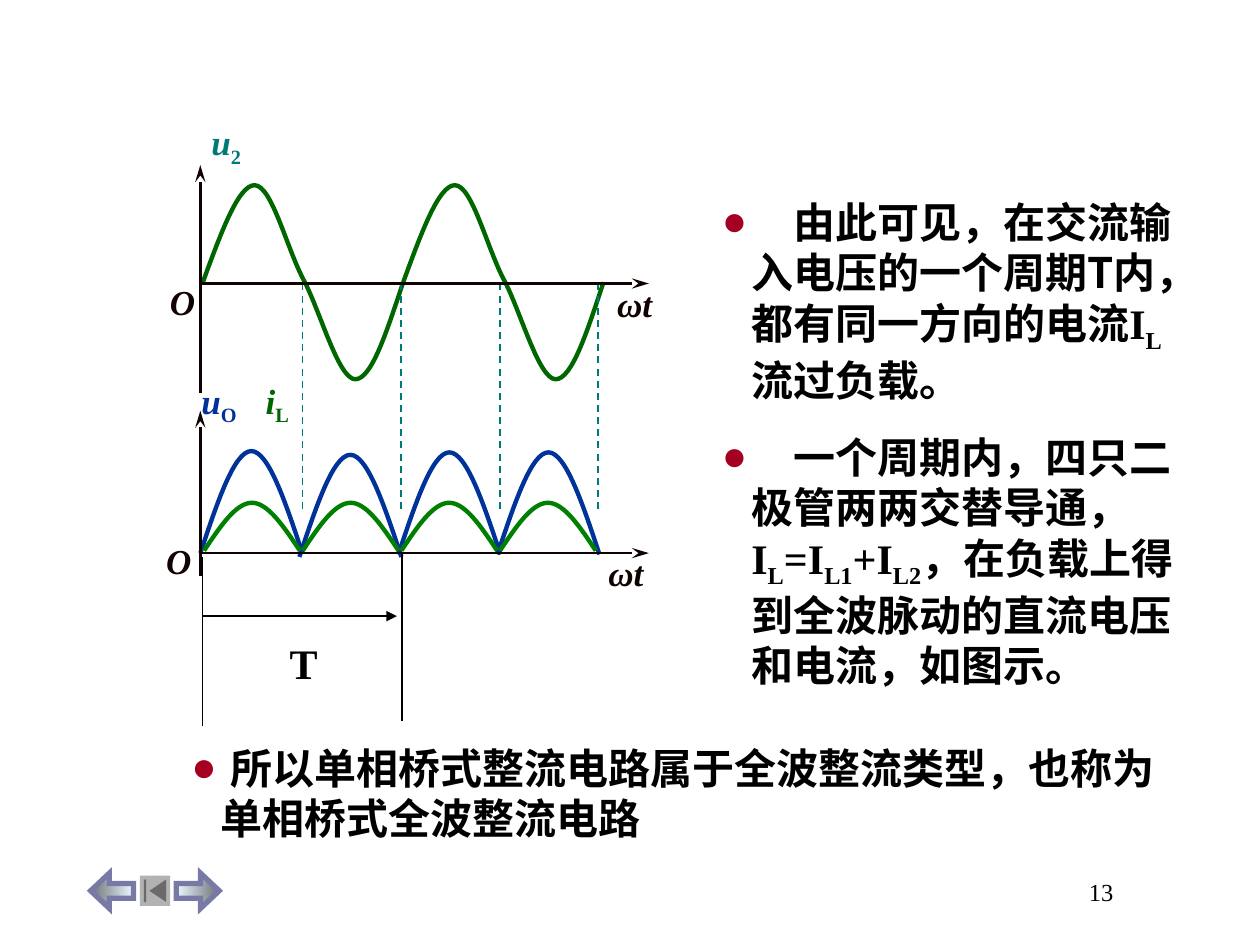
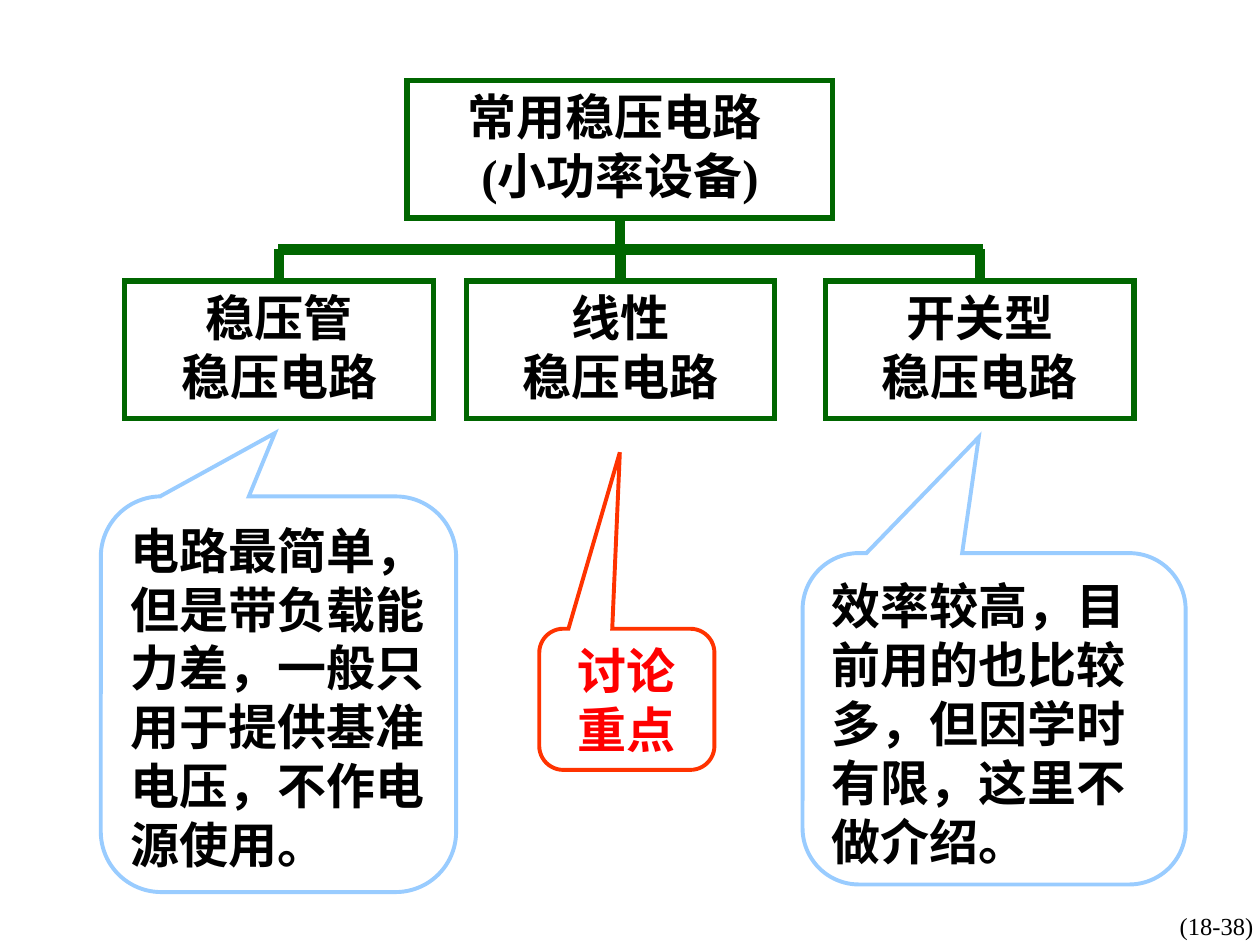
from dataclasses import dataclass

from lxml import etree
from pptx import Presentation
from pptx import util as u
from pptx.dml.color import RGBColor
from pptx.enum import dml, shapes, text
from pptx.oxml import ns

# Shared grid: 100 columns by 75 rows
WIDTH, HEIGHT = u.Inches(10), u.Inches(7.5)
COLUMNS, ROWS = 100, 75

# Shared fonts and colours
SERIF, SANS = "Times New Roman", "Noto Sans CJK SC"
BLACK = RGBColor(0x00, 0x00, 0x00)
AXIS = RGBColor(0x0F, 0x02, 0x01)
TEAL = RGBColor(0x00, 0x7A, 0x77)
GREEN = RGBColor(0x00, 0x66, 0x00)
BRIGHT_GREEN = RGBColor(0x00, 0x80, 0x00)
BLUE = RGBColor(0x00, 0x33, 0x99)
BULLET = RGBColor(0xA5, 0x00, 0x21)
SKY = RGBColor(0x99, 0xCC, 0xFF)
ORANGE = RGBColor(0xFF, 0x33, 0x00)
RED = RGBColor(0xFF, 0x00, 0x00)
ARROW_LINE = RGBColor(0x79, 0x79, 0xA5)
ARROW_LIGHT = RGBColor(0xEB, 0xF7, 0xFF)
ARROW_DARK = RGBColor(0x6D, 0x72, 0x76)
BUTTON = RGBColor(0xB2, 0xB2, 0xB2)


@dataclass(frozen=True)
class Area:
    left: float
    top: float
    width: float
    height: float

    def emu(self) -> tuple[int, int, int, int]:
        return col(self.left), row(self.top), col(self.width), row(self.height)


@dataclass(frozen=True)
class Span:
    text: str
    font: str = SERIF
    sub: bool = False


@dataclass(frozen=True)
class Style:
    size: float
    color: RGBColor = BLACK
    bold: bool = True
    italic: bool = False
    align: text.PP_ALIGN = text.PP_ALIGN.LEFT
    anchor: text.MSO_ANCHOR = text.MSO_ANCHOR.TOP
    bullet: bool = False
    gap: float = 0


@dataclass(frozen=True)
class Symbol:
    area: Area
    name: str
    sub: str
    color: RGBColor


@dataclass(frozen=True)
class Callout:
    area: Area
    tip: tuple[float, float]
    lines: tuple[str, ...]
    line_color: RGBColor
    style: Style


Point = tuple[float, float]


def col(number: float) -> int:
    return round(WIDTH * number / COLUMNS)


def row(number: float) -> int:
    return round(HEIGHT * number / ROWS)


# Text
def add_bullet(para) -> None:
    props = para._p.get_or_add_pPr()
    props.set("marL", str(col(2.35)))
    props.set("indent", str(-col(2.35)))
    color = etree.SubElement(props, ns.qn("a:buClr"))
    etree.SubElement(color, ns.qn("a:srgbClr")).set("val", str(BULLET))
    etree.SubElement(props, ns.qn("a:buFont")).set("typeface", SERIF)
    etree.SubElement(props, ns.qn("a:buChar")).set("char", "●")


def write(box, paragraphs: list[list[Span]], style: Style) -> None:
    frame = box.text_frame
    frame.word_wrap = True
    frame.vertical_anchor = style.anchor
    frame.margin_left = frame.margin_right = col(1)
    frame.margin_top = frame.margin_bottom = row(0.5)
    for index, spans in enumerate(paragraphs):
        para = frame.add_paragraph() if index else frame.paragraphs[0]
        para.alignment = style.align
        para._p.get_or_add_pPr().set("hangingPunct", "0")
        if index and style.gap:
            para.space_before = u.Pt(style.gap)
        if style.bullet:
            add_bullet(para)
        for span in spans:
            run = para.add_run()
            run.text = span.text
            font = run.font
            font.size, font.bold = u.Pt(style.size), style.bold
            font.italic = style.italic and not span.sub
            font.color.rgb, font.name = style.color, span.font
            props = run._r.get_or_add_rPr()
            etree.SubElement(props, ns.qn("a:ea")).set("typeface", SANS)
            if span.sub:
                props.set("baseline", "-25000")


def add_text(page, area: Area, paragraphs: list[list[Span]], style: Style) -> None:
    write(page.shapes.add_textbox(*area.emu()), paragraphs, style)


def add_page_number(page, area: Area, label: str) -> None:
    style = Style(14, bold=False, align=text.PP_ALIGN.CENTER,
                  anchor=text.MSO_ANCHOR.MIDDLE)
    add_text(page, area, [[Span(label)]], style)


# Lines and shapes
def add_line(page, start: Point, end: Point, color: RGBColor, width: float,
             arrow: str = "", length: str = "med", dashed: bool = False):
    line = page.shapes.add_connector(
        shapes.MSO_CONNECTOR.STRAIGHT,
        col(start[0]), row(start[1]), col(end[0]), row(end[1]))
    line.line.color.rgb, line.line.width = color, u.Pt(width)
    if dashed:
        line.line.dash_style = dml.MSO_LINE.DASH
    if arrow:
        tail = etree.SubElement(line.line._get_or_add_ln(), ns.qn("a:tailEnd"))
        for key, value in (("type", arrow), ("w", "med"), ("len", length)):
            tail.set(key, value)
    etree.SubElement(line._element.spPr, ns.qn("a:effectLst"))
    return line


def add_preset(page, kind, area: Area, line_color: RGBColor, width: float,
               adjust: tuple[float, ...] = ()):
    """Add an unfilled shape with sharp corners."""
    box = page.shapes.add_shape(kind, *area.emu())
    box.shadow.inherit = False
    for index, value in enumerate(adjust):
        box.adjustments[index] = value
    box.fill.background()
    box.line.color.rgb, box.line.width = line_color, u.Pt(width)
    miter = etree.SubElement(box.line._get_or_add_ln(), ns.qn("a:miter"))
    miter.set("lim", "800000")
    return box


def add_curve(page, left: float, base: float, knots: list[Point],
              color: RGBColor) -> None:
    """Draw cubic pieces; knots are offsets right of left and above base."""
    spots = [(col(left + x), row(base - y)) for x, y in knots]
    builder = page.shapes.build_freeform(*spots[0])
    builder.add_line_segments(spots[1:], close=False)
    curve = builder.convert_to_shape()
    # Turn every three straight segments into one cubic piece
    segments = list(curve._element.iter(ns.qn("a:lnTo")))
    for first in range(0, len(segments), 3):
        cubic = etree.Element(ns.qn("a:cubicBezTo"))
        segments[first].addprevious(cubic)
        for segment in segments[first:first + 3]:
            cubic.append(segment[0])
            segment.getparent().remove(segment)
    curve.shadow.inherit = False
    curve.fill.background()
    curve.line.color.rgb, curve.line.width = color, u.Pt(2.5)


def arch(width: float, height: float) -> list[Point]:
    rises = (0, 0.5, 1, 1, 1, 0.5, 0)
    return [(width * i / 6, height * rise) for i, rise in enumerate(rises)]


def add_navigation(page) -> None:
    for left, flipped in ((14, False), (7.2, True)):
        arrow = add_preset(page, shapes.MSO_SHAPE.RIGHT_ARROW, Area(left, 69.3, 3.4, 2.8),
                           ARROW_LINE, 3, (0.42, 0.53))
        arrow.fill.gradient()
        arrow.fill.gradient_angle = 0
        for stop, color in zip(arrow.fill.gradient_stops, (ARROW_LIGHT, ARROW_DARK)):
            stop.color.rgb = color
        if flipped:
            arrow._element.spPr.find(ns.qn("a:xfrm")).set("flipH", "1")
    button = page.shapes.add_shape(shapes.MSO_SHAPE.ACTION_BUTTON_BEGINNING,
                                   *Area(11.1, 69.5, 2.4, 2.4).emu())
    button.shadow.inherit = False
    button.fill.solid()
    button.fill.fore_color.rgb = BUTTON
    button.line.fill.background()


# Slide 1: rectifier waveforms
SINE = [(0, 0), (1.4, 3.8), (2.8, 7.7), (4.1, 7.7), (5.5, 7.7), (6.7, 2.5), (8.1, 0),
        (9.4, -2.6), (10.8, -7.7), (12.1, -7.7), (13.4, -7.7), (14.6, -3.9), (15.9, 0)]
VOLTAGE_BASES = (43.9, 44.2, 44, 44)
SYMBOLS = (
    Symbol(Area(15.8, 9.1, 8.7, 4.8), "u", "2", TEAL),
    Symbol(Area(48, 21.9, 8.7, 4.4), "ωt", "", AXIS),
    Symbol(Area(12.5, 21.8, 8.7, 4.4), "O", "", AXIS),
    Symbol(Area(15, 29.6, 5.4, 4.8), "u", "O", BLUE),
    Symbol(Area(20.1, 29.6, 4.6, 4.8), "i", "L", GREEN),
    Symbol(Area(47.3, 43.3, 8.7, 4.4), "ωt", "", AXIS),
    Symbol(Area(12.2, 42.3, 8.7, 4.4), "O", "", AXIS),
)
FINDINGS = [
    [Span("　由此可见，在交流输入电压的一个周期T内，都有同一方向的电流", SANS),
     Span("I"), Span("L", sub=True), Span("流过负载。", SANS)],
    [Span("　一个周期内，四只二极管两两交替导通，", SANS),
     Span("I"), Span("L", sub=True), Span("=I"), Span("L1", sub=True),
     Span("+I"), Span("L2", sub=True),
     Span("，在负载上得到全波脉动的直流电压和电流，如图示。", SANS)],
]
CONCLUSION = [[Span(" 所以单相桥式整流电路属于全波整流类型，也称为单相桥式全波整流电路", SANS)]]


def build_waveforms(page) -> None:
    add_page_number(page, Area(77, 69.1, 20.8, 3.3), "13")
    # Curves and dashed guides
    for period in range(2):
        add_curve(page, 16.1 + 15.9 * period, 22.4, SINE, GREEN)
    for half, base in enumerate(VOLTAGE_BASES):
        x = 24 + 7.83 * half
        add_line(page, (x, 22.5), (x, 40.6), TEAL, 1, dashed=True)
        add_curve(page, 15.9 + 7.86 * half, base, arch(8.1, 8.1), BLUE)
    for half in range(4):
        add_curve(page, 16.2 + 7.83 * half, 43.7, arch(7.6, 3.8), BRIGHT_GREEN)
    # Axes
    for top, bottom, zero in ((13.1, 31.2, 22.5), (32.6, 45.7, 43.9)):
        add_line(page, (15.9, bottom), (15.9, top), AXIS, 1.5, "stealth", "lg")
        add_line(page, (15.8, zero), (51.5, zero), AXIS, 1.5, "stealth", "lg")
    for symbol in SYMBOLS:
        spans = [Span(symbol.name)]
        if symbol.sub:
            spans.append(Span(symbol.sub, sub=True))
        add_text(page, symbol.area, [spans], Style(20, symbol.color, italic=True))
    # Period marker
    for x, top in ((16.1, 44.2), (31.9, 43.8)):
        add_line(page, (x, top), (x, top + 13.4), BLACK, 0.75)
    add_line(page, (16.1, 48.9), (31.5, 48.9), BLACK, 0.75, "triangle")
    add_text(page, Area(22, 50.1, 5.9, 5), [[Span("T")]], Style(24))
    # Findings
    style = Style(24, bullet=True, gap=15)
    add_text(page, Area(56.3, 15.1, 39.8, 40.2), FINDINGS, style)
    add_text(page, Area(14.2, 58.4, 81.5, 9), CONCLUSION, style)
    add_navigation(page)


# Slide 2: kinds of regulator
NOTE = Style(28)
CENTERED = Style(28, align=text.PP_ALIGN.CENTER)
KEY_POINT = Style(28, RED, align=text.PP_ALIGN.CENTER, anchor=text.MSO_ANCHOR.MIDDLE)
KINDS = ((9.9, "稳压管"), (37, "线性"), (65.5, "开关型"))
BUS = 19.8
BUS_PARTS = ((22.1, 42.9), (42.9, 49.8), (47.9, 78))
CALLOUTS = (
    Callout(Area(42.8, 49.9, 13.9, 11.2), (-0.04, -1.75), ("讨论", "重点"),
            ORANGE, KEY_POINT),
    Callout(Area(8, 39.4, 28.2, 31.4), (-0.01, -0.66),
            ("电路最简单，但是带负载能力差，一般只用于提供基准电压，不作电源使用。",), SKY, NOTE),
    Callout(Area(63.7, 43.9, 30.4, 26.3), (-0.04, -0.85),
            ("效率较高，目前用的也比较多，但因学时有限，这里不做介绍。",), SKY, NOTE),
)


def add_tree_box(page, area: Area, lines: tuple[str, ...]):
    box = add_preset(page, shapes.MSO_SHAPE.RECTANGLE, area, GREEN, 3)
    write(box, [[Span(line)] for line in lines], CENTERED)
    return box


def build_regulator_tree(page) -> None:
    add_page_number(page, Area(86.9, 71.8, 19.3, 3.3), "(18-38)")
    # Boxes
    root = add_tree_box(page, Area(32.3, 6.4, 33.8, 10.9), ("常用稳压电路 ", "(小功率设备)"))
    kinds = [add_tree_box(page, Area(left, 22.3, 24.5, 10.9), (name, "稳压电路"))
             for left, name in KINDS]
    # Branches
    stem = add_line(page, (49.2, 17.3), (49.2, BUS), GREEN, 5.75)
    stem.begin_connect(root, 2)
    for start, end in BUS_PARTS:
        add_line(page, (start, BUS), (end, BUS), GREEN, 5.75)
    for (left, _), kind in zip(KINDS, kinds):
        middle = left + 24.5 / 2
        drop = add_line(page, (middle, BUS), (middle, 22.3), GREEN, 5.75)
        drop.end_connect(kind, 0)
    # Remarks
    for callout in CALLOUTS:
        box = add_preset(page, shapes.MSO_SHAPE.ROUNDED_RECTANGULAR_CALLOUT, callout.area,
                         callout.line_color, 2.25, (*callout.tip, 0.17))
        write(box, [[Span(line)] for line in callout.lines], callout.style)


def main() -> None:
    deck = Presentation()
    deck.slide_width, deck.slide_height = WIDTH, HEIGHT
    for build in (build_waveforms, build_regulator_tree):
        build(deck.slides.add_slide(deck.slide_layouts[6]))
    deck.save("out.pptx")


if __name__ == "__main__":
    main()
